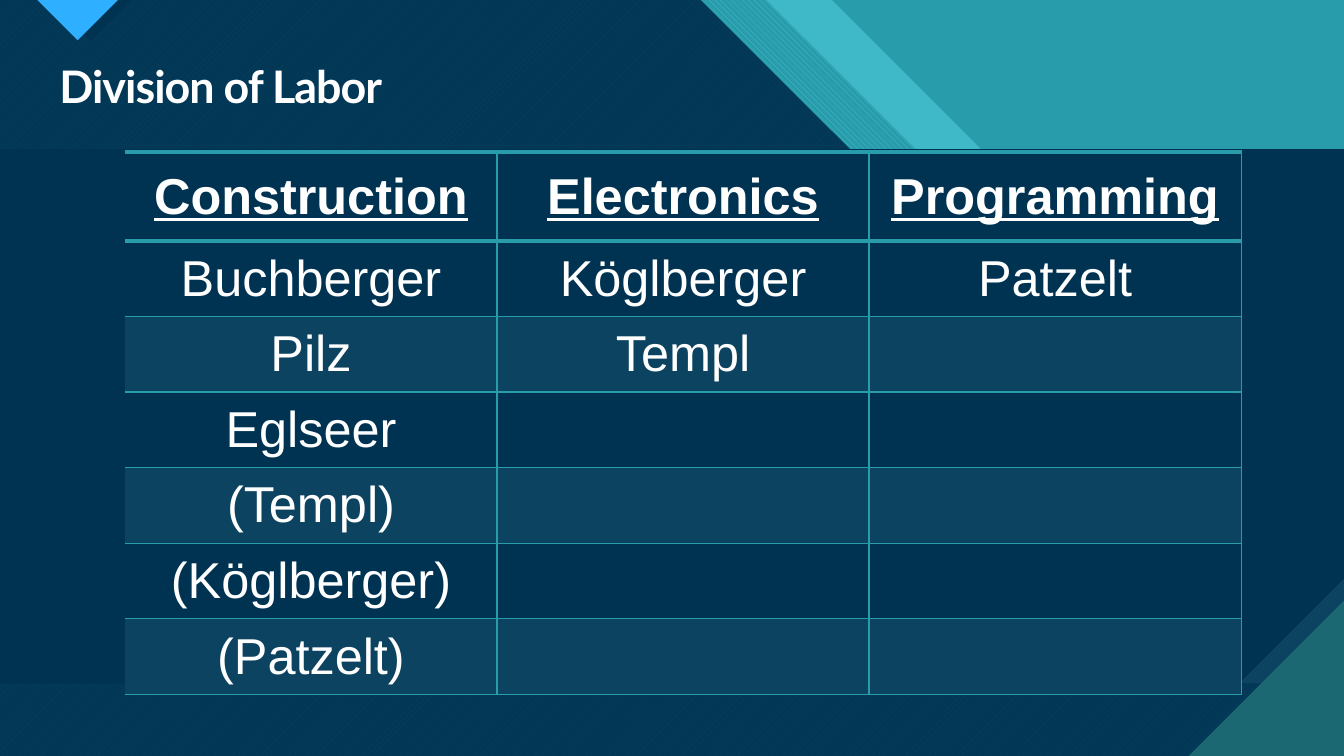
from dataclasses import dataclass
from typing import Optional

import pptx
import pptx.dml.color
import pptx.enum.dml
import pptx.enum.text
import pptx.oxml
import pptx.oxml.ns
import pptx.util

Inches = pptx.util.Inches
PATTERN = pptx.enum.dml.MSO_PATTERN
ALIGN = pptx.enum.text.PP_ALIGN
W, H = 13.33, 7.5


@dataclass(frozen=True)
class Theme:
    navy: str = "003352"
    slate: str = "0C4360"
    teal: str = "299CAB"
    aqua: str = "47C3D3"
    deep: str = "1B6872"
    blue: str = "2FAFFF"
    white: str = "FFFFFF"
    title_font: str = "Lato"
    body_font: str = "Arial"
    title_size: int = 32
    table_size: int = 36
    thin: int = 1
    thick: int = 3


@dataclass(frozen=True)
class Panel:
    points: tuple
    color: str
    alpha: Optional[int] = None
    pattern: Optional[PATTERN] = None
    back: Optional[str] = None


T = Theme()


def band(top_x: float, step_x: float, edge_y: float) -> tuple:
    """Area left of a 45° edge from top_x that runs level to step_x, then on to edge_y."""
    step = 2.97
    return ((0, 0), (top_x, 0), (top_x + step, step),
            (step_x, step), (W, edge_y), (W, H), (0, H))


MID_TOP, MID_BOTTOM, SNIP = 1.48, 6.78, 1.04
NAVY_EDGE = band(6.95, 11.18, 5.13)
PANELS = (
    Panel(((0, 0), (W, 0), (W, H), (0, H)), T.teal),
    Panel(band(8.25, 12.34, 3.97), T.aqua, alpha=74),
    Panel(band(7.6, 11.84, 4.47), T.aqua,
          pattern=PATTERN.WIDE_DOWNWARD_DIAGONAL, back=T.teal),
    Panel(NAVY_EDGE, T.aqua, pattern=PATTERN.WIDE_UPWARD_DIAGONAL, back=T.deep),
    Panel(NAVY_EDGE, T.navy, alpha=90),
    Panel(((0.48, 0), (1.31, 0), (0.9, 0.41)), T.navy),
    Panel(((0.37, 0), (1.17, 0), (0.77, 0.4)), T.blue),
    Panel(((0, MID_TOP), (W, MID_TOP), (W, MID_BOTTOM), (0, MID_BOTTOM)), T.slate),
    Panel(((0, MID_TOP), (W, MID_TOP), (W, MID_BOTTOM - SNIP),
           (W - SNIP, MID_BOTTOM), (0, MID_BOTTOM)), T.navy),
    Panel(((11.79, H), (W, H), (W, 5.96)), T.deep),
)

TEAMS = {
    "Construction": ("Buchberger", "Pilz", "Eglseer", "(Templ)", "(Köglberger)", "(Patzelt)"),
    "Electronics": ("Köglberger", "Templ"),
    "Programming": ("Patzelt",),
}


def rgb(color: str) -> pptx.dml.color.RGBColor:
    return pptx.dml.color.RGBColor.from_string(color)


def add_panel(slide, panel: Panel) -> None:
    start, *rest = [(Inches(x), Inches(y)) for x, y in panel.points]
    builder = slide.shapes.build_freeform(*start)
    builder.add_line_segments(rest, close=True)
    sp = builder.convert_to_shape()
    sp.shadow.inherit = False
    sp.line.fill.background()
    if panel.pattern is not None:
        sp.fill.patterned()
        sp.fill.pattern = panel.pattern
        sp.fill.fore_color.rgb = rgb(panel.color)
        sp.fill.back_color.rgb = rgb(panel.back)
        return
    sp.fill.solid()
    sp.fill.fore_color.rgb = rgb(panel.color)
    if panel.alpha is not None:
        clr = sp.fill._xPr.find(".//" + pptx.oxml.ns.qn("a:srgbClr"))
        alpha = pptx.oxml.parse_xml(
            f'<a:alpha {pptx.oxml.ns.nsdecls("a")} val="{panel.alpha * 1000}"/>')
        clr.append(alpha)


def write(tf, text: str, *, font: str, size: int, bold: bool = False,
          underline: bool = False, align=ALIGN.LEFT, line: float = 1.0,
          spacing: float = 0) -> None:
    p = tf.paragraphs[0]
    p.alignment = align
    p.line_spacing = line
    r = p.add_run()
    r.text = text
    r.font.name = font
    r.font.size = pptx.util.Pt(size)
    r.font.bold = bold
    r.font.underline = underline
    r.font.color.rgb = rgb(T.white)
    if spacing:
        r.font._element.set("spc", str(round(spacing * 100)))


def set_borders(cell, **widths: int) -> None:
    """Border widths in points for L, R, T and B; zero hides a side."""
    tc_pr = cell._tc.get_or_add_tcPr()
    for i, side in enumerate("LRTB"):
        width = widths[side]
        fill = (f'<a:solidFill><a:srgbClr val="{T.teal}"/></a:solidFill>'
                if width else "<a:noFill/>")
        tc_pr.insert(i, pptx.oxml.parse_xml(
            f'<a:ln{side} {pptx.oxml.ns.nsdecls("a")} w="{width * 12700}">{fill}</a:ln{side}>'))


def add_title(slide) -> None:
    tf = slide.shapes.add_textbox(
        Inches(0.49), Inches(0.59), Inches(12.26), Inches(0.59)).text_frame
    tf.word_wrap = True
    write(tf, "Division of Labor", font=T.title_font, size=T.title_size,
          bold=True, line=0.9, spacing=-0.7)


def add_team_table(slide) -> None:
    rows = 1 + max(len(names) for names in TEAMS.values())
    table = slide.shapes.add_table(
        rows, len(TEAMS), Inches(1.24), Inches(1.51), Inches(11.07), Inches(5.4)).table
    table.first_row = table.horz_banding = False
    for i, row in enumerate(table.rows):
        row.height = Inches(0.75 if i else 0.88)
    for j, (team, names) in enumerate(TEAMS.items()):
        table.columns[j].width = Inches(3.69)
        for i in range(rows):
            cell = table.cell(i, j)
            cell.vertical_anchor = pptx.enum.text.MSO_ANCHOR.MIDDLE
            if i and i % 2 == 0:
                cell.fill.solid()
                cell.fill.fore_color.rgb = rgb(T.slate)
            else:
                cell.fill.background()
            set_borders(cell, L=T.thin if j else 0, R=T.thin,
                        T=T.thick if i < 2 else T.thin,
                        B=T.thick if i == 0 else T.thin)
            if i <= len(names):
                write(cell.text_frame, names[i - 1] if i else team,
                      font=T.body_font, size=T.table_size, bold=i == 0,
                      underline=i == 0, align=ALIGN.CENTER)


def main() -> None:
    prs = pptx.Presentation()
    prs.slide_width, prs.slide_height = Inches(W), Inches(H)
    slide = prs.slides.add_slide(prs.slide_layouts[6])
    slide.background.fill.solid()
    slide.background.fill.fore_color.rgb = rgb(T.aqua)
    for panel in PANELS:
        add_panel(slide, panel)
    add_title(slide)
    add_team_table(slide)
    prs.save("out.pptx")


if __name__ == "__main__":
    main()
